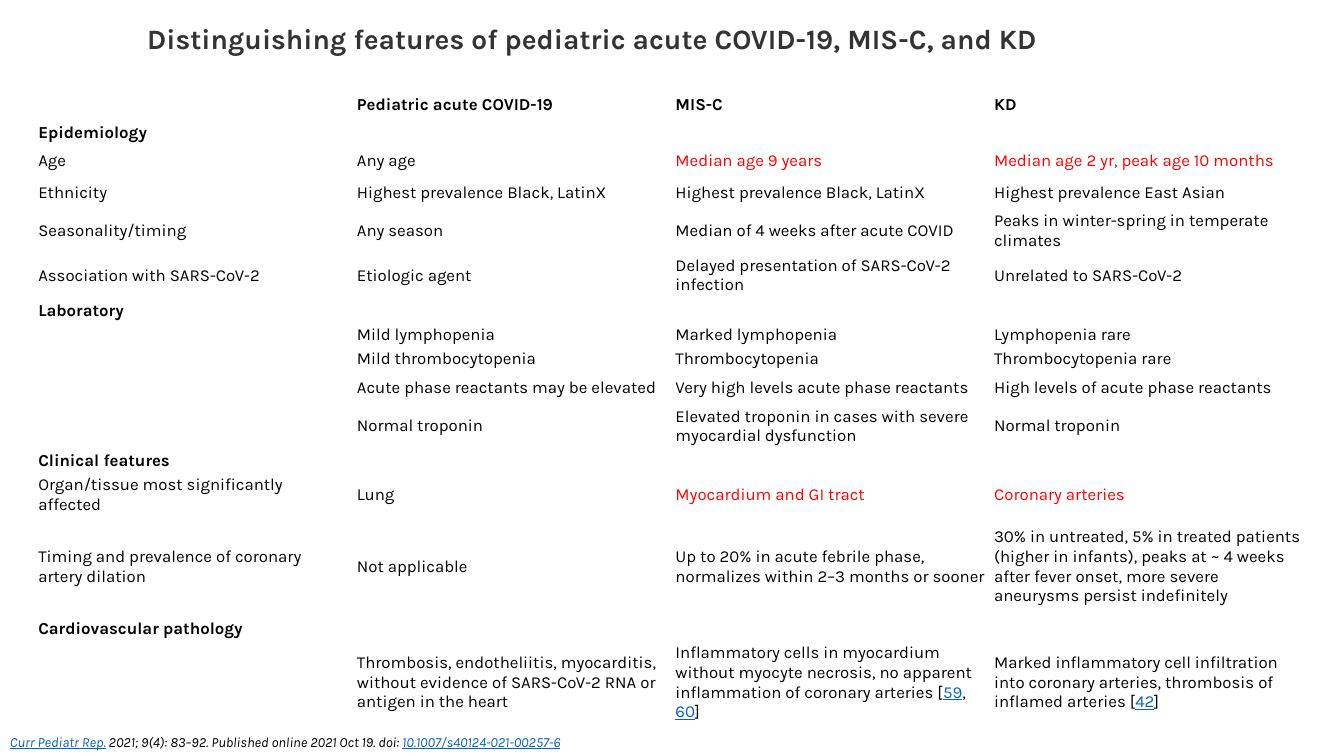
from pptx import Presentation
from pptx import util as u
from pptx.dml import color
from pptx.enum import text as t

FONT = "Karla"
BLACK, RED, LINK, TITLE_GREY, WHITE = "000000", "FF0000", "0563C1", "333333", "FFFFFF"
SLIDE_WIDTH, SLIDE_HEIGHT = 13.33, 7.5
COLUMN_WIDTH = 3.16
TABLE_LEFT, TABLE_TOP = 0.34, 0.88

# Row height and cell texts; a row with one text is a section heading.
# Text between bars is styled as a citation link.
ROWS = [
    (0.32, ["", "Pediatric acute COVID-19", "MIS-C", "KD"]),
    (0.23, ["Epidemiology"]),
    (0.32, ["Age", "Any age", "Median age 9 years", "Median age 2 yr, peak age 10 months"]),
    (0.32, ["Ethnicity", "Highest prevalence Black, LatinX",
            "Highest prevalence Black, LatinX", "Highest prevalence East Asian"]),
    (0.43, ["Seasonality/timing", "Any season", "Median of 4 weeks after acute COVID",
            "Peaks in winter-spring in temperate climates"]),
    (0.46, ["Association with SARS-CoV-2", "Etiologic agent",
            "Delayed presentation of SARS-CoV-2 infection", "Unrelated to SARS-CoV-2"]),
    (0.23, ["Laboratory"]),
    (0.24, ["", "Mild lymphopenia", "Marked lymphopenia", "Lymphopenia rare"]),
    (0.24, ["", "Mild thrombocytopenia", "Thrombocytopenia", "Thrombocytopenia rare"]),
    (0.32, ["", "Acute phase reactants may be elevated",
            "Very high levels acute phase reactants", "High levels of acute phase reactants"]),
    (0.45, ["", "Normal troponin",
            "Elevated troponin in cases with severe myocardial dysfunction", "Normal troponin"]),
    (0.24, ["Clinical features"]),
    (0.43, ["Organ/tissue most significantly affected", "Lung",
            "Myocardium and GI tract", "Coronary arteries"]),
    (1.0, ["Timing and prevalence of coronary artery dilation", "Not applicable",
           "Up to 20% in acute febrile phase, normalizes within 2–3 months or sooner",
           "30% in untreated, 5% in treated patients (higher in infants), peaks at ~ 4 weeks "
           "after fever onset, more severe aneurysms persist indefinitely"]),
    (0.23, ["Cardiovascular pathology"]),
    (0.83, ["", "Thrombosis, endotheliitis, myocarditis, without evidence of SARS-CoV-2 RNA "
                "or antigen in the heart",
            "Inflammatory cells in myocardium without myocyte necrosis, no apparent "
            "inflammation of coronary arteries [|59|, |60|]",
            "Marked inflammatory cell infiltration into coronary arteries, thrombosis of "
            "inflamed arteries [|42|]"]),
]
HIGHLIGHTED_FEATURES = ("Age", "Organ/tissue most significantly affected")


def rgb(hex_value):
    return color.RGBColor.from_string(hex_value)


def set_attributes(target, values):
    for name, value in values.items():
        setattr(target, name, value)


def write_text(paragraph, content, size, hex_color, **formats):
    """Write runs, styling every piece between bars as a link."""
    for index, piece in enumerate(content.split("|")):
        if not piece:
            continue
        linked = index % 2 == 1
        run = paragraph.add_run()
        run.text = piece
        set_attributes(run.font, {"name": FONT, "size": u.Pt(size), "underline": linked, **formats})
        run.font.color.rgb = rgb(LINK if linked else hex_color)


def add_title(slide):
    title = slide.shapes.title
    set_attributes(title, {"left": u.Inches(1.46), "top": u.Inches(0.07),
                           "width": u.Inches(11.1), "height": u.Inches(0.62)})
    title.fill.solid()
    title.fill.fore_color.rgb = rgb(WHITE)
    frame = title.text_frame
    set_attributes(frame, {
        "margin_left": 0, "margin_right": 0, "margin_top": u.Inches(0.14),
        "margin_bottom": u.Inches(0.14), "word_wrap": True,
        "auto_size": t.MSO_AUTO_SIZE.NONE, "vertical_anchor": t.MSO_ANCHOR.MIDDLE})
    paragraph = frame.paragraphs[0]
    paragraph.alignment = t.PP_ALIGN.LEFT
    write_text(paragraph, "Distinguishing features of pediatric acute COVID-19, MIS-C, and KD",
               20, TITLE_GREY, bold=True)


def format_cell(cell):
    cell.fill.background()
    set_attributes(cell, {
        "margin_left": u.Inches(0.04), "margin_right": u.Inches(0.04),
        "margin_top": u.Inches(0.02), "margin_bottom": u.Inches(0.02),
        "vertical_anchor": t.MSO_ANCHOR.MIDDLE})
    # The end mark keeps empty cells from stretching their row.
    cell.text_frame.paragraphs[0]._p.get_or_add_endParaRPr().set("sz", "1200")


def add_comparison_table(slide):
    columns = len(ROWS[0][1])
    heights = [height for height, _ in ROWS]
    table = slide.shapes.add_table(
        len(ROWS), columns, u.Inches(TABLE_LEFT), u.Inches(TABLE_TOP),
        u.Inches(columns * COLUMN_WIDTH), u.Inches(sum(heights))).table
    set_attributes(table, {"first_row": False, "horz_banding": False})
    for row_index, (height, texts) in enumerate(ROWS):
        table.rows[row_index].height = u.Inches(height)
        for column in range(columns):
            format_cell(table.cell(row_index, column))
        is_section = len(texts) == 1
        if is_section:
            table.cell(row_index, 0).merge(table.cell(row_index, columns - 1))
        for column, content in enumerate(texts):
            highlighted = texts[0] in HIGHLIGHTED_FEATURES and column >= 2
            write_text(table.cell(row_index, column).text_frame.paragraphs[0], content, 12,
                       RED if highlighted else BLACK, bold=is_section or row_index == 0)


def add_source_line(slide):
    height = 0.27
    box = slide.shapes.add_textbox(0, u.Inches(SLIDE_HEIGHT - height),
                                   u.Inches(10.93), u.Inches(height))
    box.text_frame.word_wrap = True
    write_text(box.text_frame.paragraphs[0],
               "|Curr Pediatr Rep.| 2021; 9(4): 83–92. Published online 2021 Oct 19. doi: "
               "|10.1007/s40124-021-00257-6|", 10, BLACK, italic=True)


def main():
    presentation = Presentation()
    set_attributes(presentation, {"slide_width": u.Inches(SLIDE_WIDTH),
                                  "slide_height": u.Inches(SLIDE_HEIGHT)})
    slide = presentation.slides.add_slide(presentation.slide_layouts.get_by_name("Title Only"))
    add_title(slide)
    add_comparison_table(slide)
    add_source_line(slide)
    presentation.save("out.pptx")


if __name__ == "__main__":
    main()
